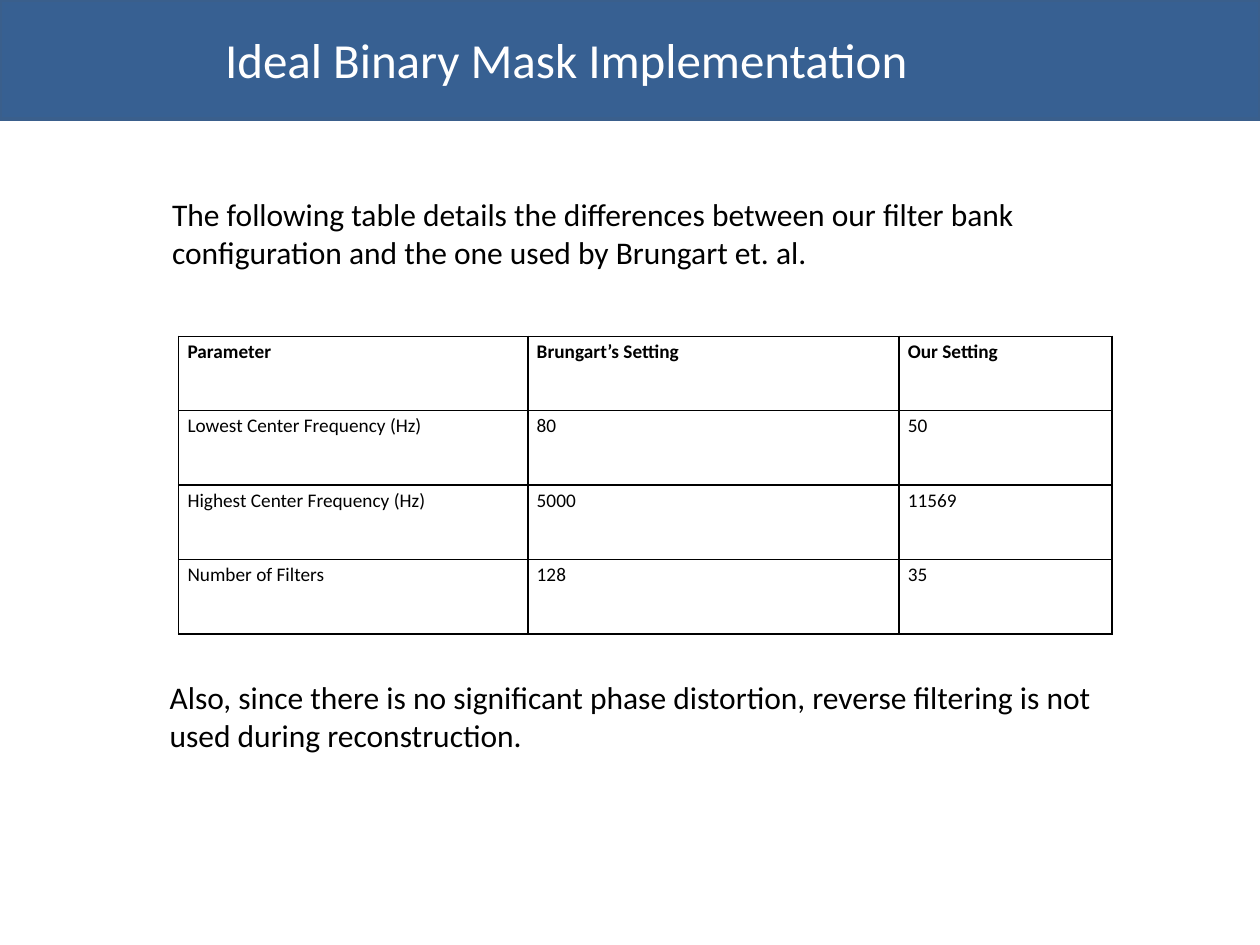
import pptx
import pptx.dml.color
import pptx.enum.shapes
import pptx.enum.text
import pptx.oxml
import pptx.oxml.ns
import pptx.util
from pptx.util import Cm

COLORS = {"black": "000000", "white": "FFFFFF", "band": "376092", "edge": "3A5F8C"}
ALIGN = pptx.enum.text.PP_ALIGN
ANCHOR = pptx.enum.text.MSO_ANCHOR


def color(name):
    return pptx.dml.color.RGBColor.from_string(COLORS[name])


def write(frame, text, size=18, ink="black", bold=False, align=ALIGN.LEFT, spacing=None):
    para = frame.paragraphs[0]
    para.alignment = align
    if spacing:
        para.line_spacing = spacing
    span = para.add_run()
    span.text = text
    span.font.name = "Calibri"
    span.font.size = pptx.util.Pt(size)
    span.font.bold = bold
    span.font.color.rgb = color(ink)


class SlideBuilder:
    def __init__(self, page):
        self.page = page

    def band(self, left, top, width, height):
        shape = self.page.shapes.add_shape(
            pptx.enum.shapes.MSO_SHAPE.RECTANGLE, Cm(left), Cm(top), Cm(width), Cm(height))
        shape.shadow.inherit = False
        shape.fill.solid()
        shape.fill.fore_color.rgb = color("band")
        shape.line.color.rgb = color("edge")
        shape.line.width = pptx.util.Pt(2)

    def text(self, left, top, width, height, text, anchor=ANCHOR.TOP, **style):
        box = self.page.shapes.add_textbox(Cm(left), Cm(top), Cm(width), Cm(height))
        box.text_frame.word_wrap = True
        box.text_frame.vertical_anchor = anchor
        write(box.text_frame, text, **style)

    def table(self, left, top, widths, row_height, rows):
        table = self.page.shapes.add_table(
            len(rows), len(widths), Cm(left), Cm(top),
            Cm(sum(widths)), Cm(row_height * len(rows))).table
        table.horz_banding = False
        for column, width in zip(table.columns, widths):
            column.width = Cm(width)
        for row_index, row in enumerate(rows):
            table.rows[row_index].height = Cm(row_height)
            for column_index, text in enumerate(row):
                cell = table.cell(row_index, column_index)
                cell.margin_left = cell.margin_right = Cm(0.18)
                cell.margin_top = cell.margin_bottom = 0
                write(cell.text_frame, text, size=11, bold=row_index == 0, spacing=1.15)
                self.borders(cell)
                cell.fill.background()

    def borders(self, cell):
        properties = cell._tc.get_or_add_tcPr()
        for side in ("lnL", "lnR", "lnT", "lnB"):
            properties.append(pptx.oxml.parse_xml(
                f'<a:{side} {pptx.oxml.ns.nsdecls("a")} w="{pptx.util.Pt(1)}"><a:solidFill>'
                f'<a:srgbClr val="{COLORS["black"]}"/></a:solidFill></a:{side}>'))


deck = pptx.Presentation()
deck.slide_width, deck.slide_height = Cm(25.4), Cm(19.05)
builder = SlideBuilder(deck.slides.add_slide(deck.slide_layouts[6]))

# Introduction
builder.text(3.22, 3.81, 17.78, 2.57,
             "The following table details the differences between our filter bank "
             "configuration and the one used by Brungart et. al.")

# Filter bank settings
builder.table(3.6, 6.78, (7.04, 7.48, 4.3), 1.5, [
    ("Parameter", "Brungart’s Setting", "Our Setting"),
    ("Lowest Center Frequency (Hz)", "80", "50"),
    ("Highest Center Frequency (Hz)", "5000", "11569"),
    ("Number of Filters", "128", "35"),
])

# Closing remark
builder.text(3.17, 13.54, 19.48, 1.8,
             "Also, since there is no significant phase distortion, reverse filtering "
             "is not used during reconstruction.")

# Title band
builder.band(0, 0, 25.4, 2.4)
builder.text(2.74, 0.23, 17.35, 1.9, "Ideal Binary Mask Implementation",
             anchor=ANCHOR.MIDDLE, size=28, ink="white", align=ALIGN.CENTER)

deck.save("out.pptx")
